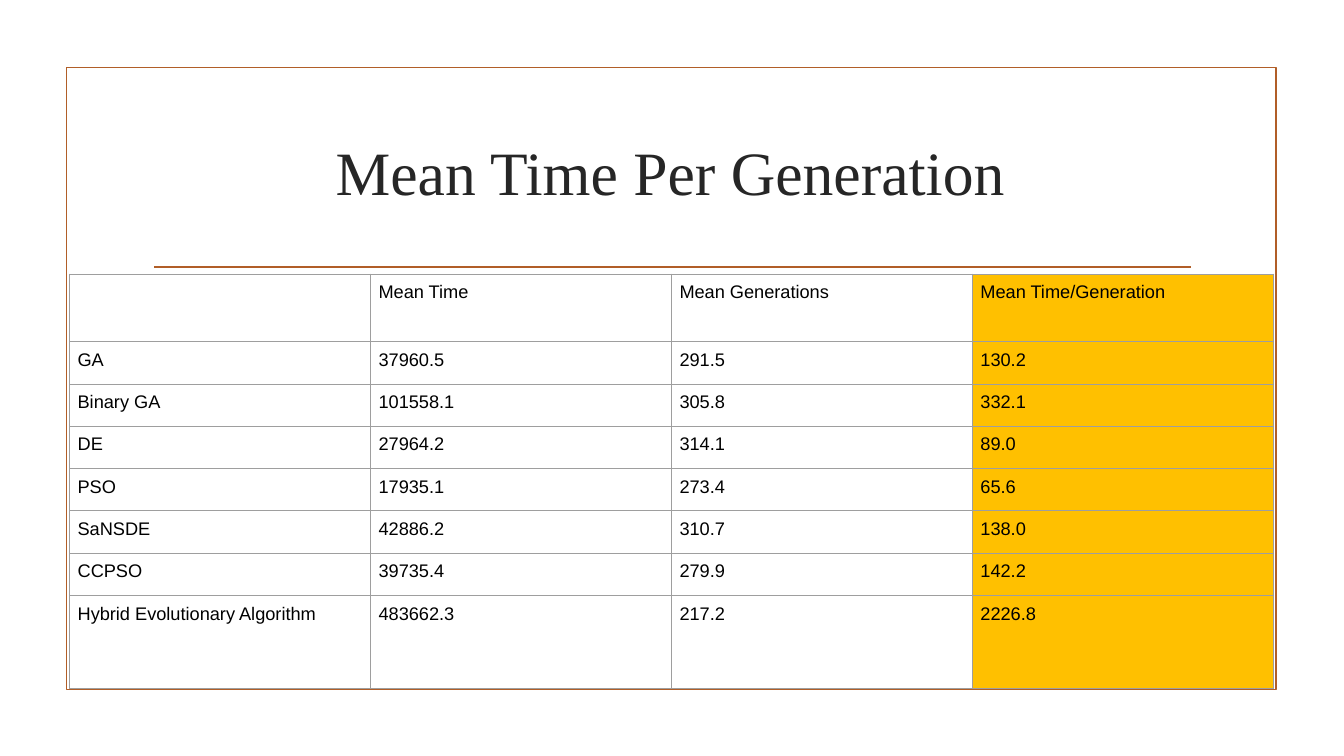
import pptx
import pptx.dml.color
import pptx.enum.shapes
import pptx.enum.text
import pptx.oxml
import pptx.oxml.ns
import pptx.util
from dataclasses import dataclass
from lxml import etree

Inches = pptx.util.Inches
Pt = pptx.util.Pt

TITLE = "Mean Time Per Generation"
RESULTS = [
    ("", "Mean Time", "Mean Generations", "Mean Time/Generation"),
    ("GA", "37960.5", "291.5", "130.2"),
    ("Binary GA", "101558.1", "305.8", "332.1"),
    ("DE", "27964.2", "314.1", "89.0"),
    ("PSO", "17935.1", "273.4", "65.6"),
    ("SaNSDE", "42886.2", "310.7", "138.0"),
    ("CCPSO", "39735.4", "279.9", "142.2"),
    ("Hybrid Evolutionary Algorithm", "483662.3", "217.2", "2226.8"),
]
HEADER_HEIGHT, ROW_HEIGHT, LAST_HEIGHT = 0.67, 0.42, 0.92
HIGHLIGHT_COLUMN = 3


@dataclass(frozen=True)
class Theme:
    accent: str = "B15E28"
    title: str = "262626"
    text: str = "000000"
    grid: str = "9E9E9E"
    highlight: str = "FFC000"
    title_font: str = "Times New Roman"
    table_font: str = "Arial"
    title_size: float = 44
    table_size: float = 13
    rule_width: float = 1.25
    grid_width: float = 0.75


THEME = Theme()


def rgb(value):
    return pptx.dml.color.RGBColor.from_string(value)


def style_paragraph(paragraph, font_name, size, color):
    for run in paragraph.runs:
        run.font.name = font_name
        run.font.size = Pt(size)
        run.font.color.rgb = rgb(color)


def style_line(line):
    line.color.rgb = rgb(THEME.accent)
    line.width = Pt(THEME.rule_width)


def add_frame(slide):
    frame = slide.shapes.add_shape(
        pptx.enum.shapes.MSO_SHAPE.RECTANGLE,
        Inches(0.66), Inches(0.67), Inches(12), Inches(6.17))
    frame.shadow.inherit = False
    frame.fill.background()
    style_line(frame.line)


def add_title_rule(slide):
    rule = slide.shapes.add_connector(
        pptx.enum.shapes.MSO_CONNECTOR.STRAIGHT,
        Inches(1.53), Inches(2.65), Inches(11.81), Inches(2.65))
    style_line(rule.line)
    etree.SubElement(rule._element.spPr, pptx.oxml.ns.qn("a:effectLst"))


def add_title(slide):
    title = slide.shapes.add_textbox(Inches(1.4), Inches(0.98), Inches(10.5), Inches(1.43))
    text_frame = title.text_frame
    text_frame.word_wrap = True
    text_frame.vertical_anchor = pptx.enum.text.MSO_ANCHOR.MIDDLE
    text_frame.text = TITLE
    paragraph = text_frame.paragraphs[0]
    paragraph.alignment = pptx.enum.text.PP_ALIGN.CENTER
    style_paragraph(paragraph, THEME.title_font, THEME.title_size, THEME.title)


def add_cell_borders(cell):
    """Draw all four borders; call before setting the fill, which must follow them."""
    properties = cell._tc.get_or_add_tcPr()
    for side in ("lnL", "lnR", "lnT", "lnB"):
        properties.append(pptx.oxml.parse_xml(
            f'<a:{side} {pptx.oxml.ns.nsdecls("a")} w="{Pt(THEME.grid_width)}">'
            f'<a:solidFill><a:srgbClr val="{THEME.grid}"/></a:solidFill></a:{side}>'))


def fill_cell(cell, text, highlighted):
    cell.margin_left = cell.margin_right = Inches(0.08)
    cell.margin_top = cell.margin_bottom = Inches(0.08)
    add_cell_borders(cell)
    if highlighted:
        cell.fill.solid()
        cell.fill.fore_color.rgb = rgb(THEME.highlight)
    else:
        cell.fill.background()
    if text:
        cell.text_frame.text = text
        style_paragraph(cell.text_frame.paragraphs[0],
                        THEME.table_font, THEME.table_size, THEME.text)


def add_results_table(slide):
    heights = [HEADER_HEIGHT] + [ROW_HEIGHT] * (len(RESULTS) - 2) + [LAST_HEIGHT]
    table = slide.shapes.add_table(
        len(RESULTS), len(RESULTS[0]),
        Inches(0.69), Inches(2.72), Inches(11.94), Inches(sum(heights))).table
    table.first_row = False
    table.horz_banding = False
    for row, height, values in zip(table.rows, heights, RESULTS):
        row.height = Inches(height)
        for column, (cell, value) in enumerate(zip(row.cells, values)):
            fill_cell(cell, value, column == HIGHLIGHT_COLUMN)


def main():
    presentation = pptx.Presentation()
    presentation.slide_width = Inches(13.33)
    presentation.slide_height = Inches(7.5)
    slide = presentation.slides.add_slide(presentation.slide_layouts[6])
    add_frame(slide)
    add_title_rule(slide)
    add_title(slide)
    add_results_table(slide)
    presentation.save("out.pptx")


if __name__ == "__main__":
    main()
